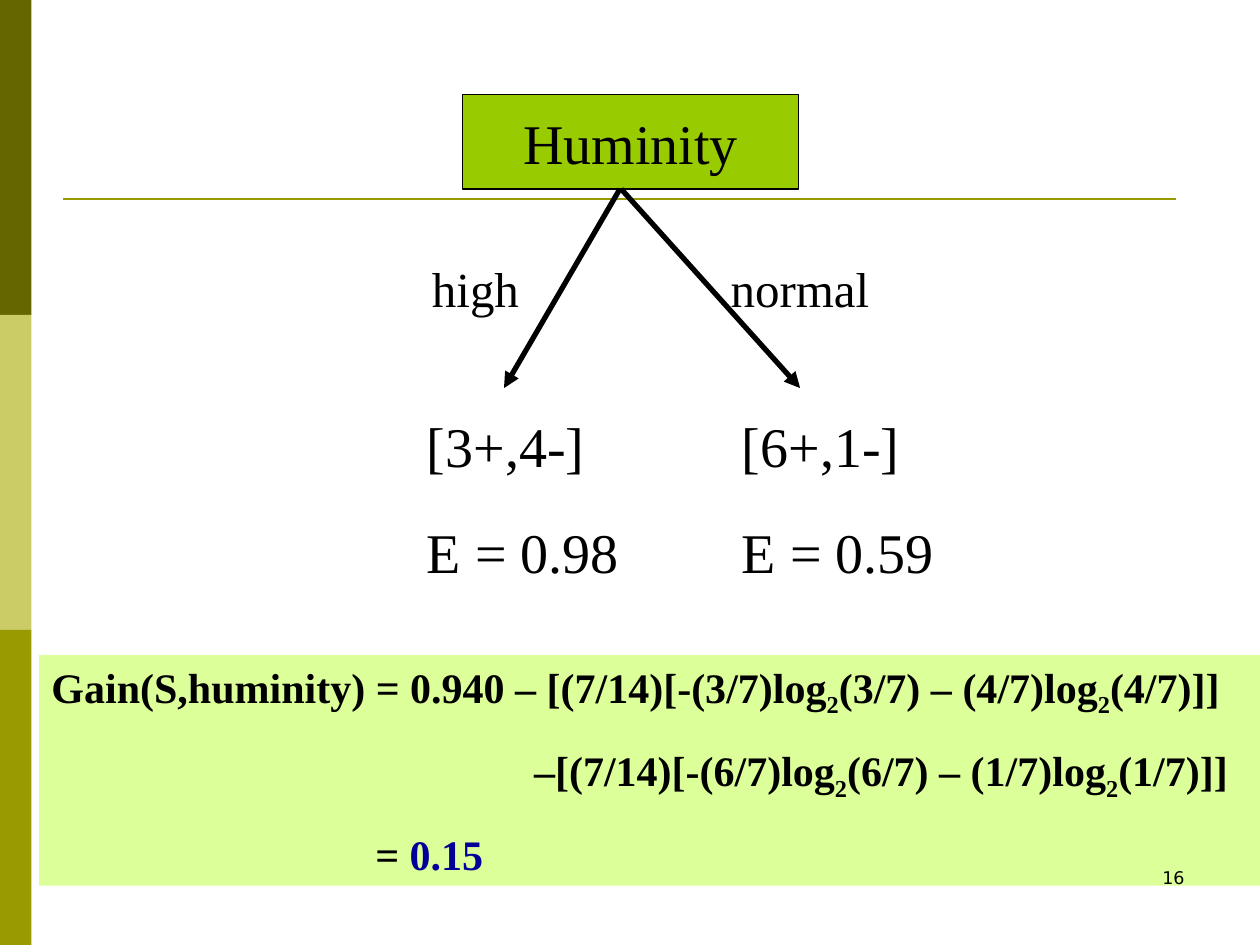
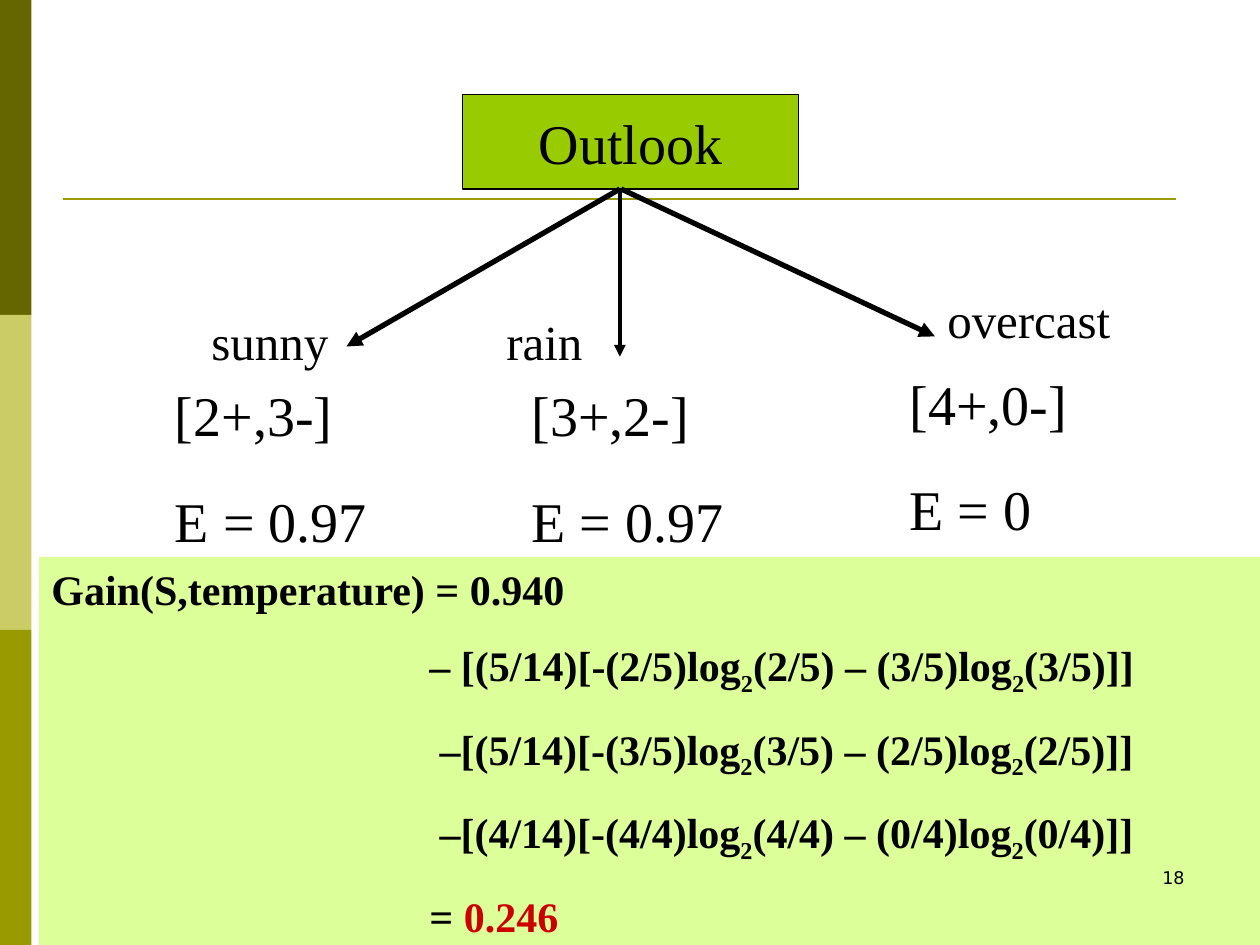
from pptx import Presentation
from pptx.dml.color import RGBColor
from pptx.enum.shapes import MSO_CONNECTOR, MSO_SHAPE
from pptx.enum.text import MSO_ANCHOR, PP_ALIGN
from pptx.oxml.ns import qn
from pptx.util import Inches, Pt
from lxml import etree

RECTANGLE = MSO_SHAPE.RECTANGLE
STRAIGHT = MSO_CONNECTOR.STRAIGHT
TOP, MIDDLE = MSO_ANCHOR.TOP, MSO_ANCHOR.MIDDLE
LEFT, CENTER, RIGHT = PP_ALIGN.LEFT, PP_ALIGN.CENTER, PP_ALIGN.RIGHT

SERIF, SANS = "Times New Roman", "DejaVu Sans"
BLACK, OLIVE, ROOT_GREEN, FORMULA_GREEN = "000000", "999900", "99CC00", "DDFF99"
BAND_COLOURS = ["666600", "CCCC66", OLIVE]
SUBSCRIPT_MARK = "log2"

SLIDES = [
    {
        "number": "16",
        "attribute": "Huminity",
        "branches": [
            {"value": "high", "label": (3.33, 2), "arrow": (4.92, 4, 3.08, 3),
             "counts": "[3+,4-]", "entropy": "E = 0.98", "outcome": (3.17, 3.17)},
            {"value": "normal", "label": (5.7, 2), "arrow": (4.93, 6.35, 3.08, 3),
             "counts": "[6+,1-]", "entropy": "E = 0.59", "outcome": (5.67, 3.17)},
        ],
        "formula_top": 5.2,
        "formula_height": 1.83,
        "formula": [
            (0, "Gain(S,huminity) = 0.940 – [(7/14)[-(3/7)log2(3/7) – (4/7)log2(4/7)]]"),
            (3.83, "–[(7/14)[-(6/7)log2(6/7) – (1/7)log2(1/7)]]"),
            (2.57, "= "),
        ],
        "gain": ("0.15", "000099"),
    },
    {
        "number": "18",
        "attribute": "Outlook",
        "branches": [
            {"value": "sunny", "label": (1.58, 2.42), "arrow": (4.92, 2.75, 2.75, 3),
             "counts": "[2+,3-]", "entropy": "E = 0.97", "outcome": (1.17, 2.92)},
            {"value": "rain", "label": (3.92, 2.42), "arrow": (4.92, 4.92, 2.83, 2.25),
             "counts": "[3+,2-]", "entropy": "E = 0.97", "outcome": (4, 2.92)},
            {"value": "overcast", "label": (7.42, 2.25), "arrow": (4.93, 7.42, 2.67, 3),
             "counts": "[4+,0-]", "entropy": "E = 0", "outcome": (7, 2.83)},
        ],
        "formula_top": 4.42,
        "formula_height": 3.1,
        "formula": [
            (0, "Gain(S,temperature) = 0.940"),
            (3, "– [(5/14)[-(2/5)log2(2/5) – (3/5)log2(3/5)]]"),
            (3.08, "–[(5/14)[-(3/5)log2(3/5) – (2/5)log2(2/5)]]"),
            (3.08, "–[(4/14)[-(4/4)log2(4/4) – (0/4)log2(0/4)]]"),
            (3, "= "),
        ],
        "gain": ("0.246", "CC0000"),
    },
]


def colour(value):
    return RGBColor.from_string(value)


def add_rectangle(slide, left, top, width, height, fill, outline=None):
    shape = slide.shapes.add_shape(
        RECTANGLE, Inches(left), Inches(top), Inches(width), Inches(height))
    shape.shadow.inherit = False
    shape.fill.solid()
    shape.fill.fore_color.rgb = colour(fill)
    if outline:
        shape.line.color.rgb = colour(outline)
        shape.line.width = Pt(0.75)
    else:
        shape.line.fill.background()
    return shape


def add_line(slide, start, end, line_colour, width, arrow=False):
    connector = slide.shapes.add_connector(
        STRAIGHT, *(Inches(value) for value in (*start, *end)))
    connector.line.color.rgb = colour(line_colour)
    connector.line.width = Pt(width)
    if arrow:
        line = connector.line._get_or_add_ln()
        etree.SubElement(line, qn("a:tailEnd"), type="triangle")
    etree.SubElement(connector._element.spPr, qn("a:effectLst"))


def write_lines(shape, lines, size, font_name=SERIF, alignment=LEFT, anchor=TOP,
                bold=False, gap=0):
    frame = shape.text_frame
    frame.word_wrap = True
    frame.vertical_anchor = anchor
    for position, (indent, text) in enumerate(lines):
        paragraph = frame.add_paragraph() if position else frame.paragraphs[0]
        paragraph.alignment = alignment
        if position:
            paragraph.space_before = Pt(gap)
        if indent:
            properties = paragraph._p.get_or_add_pPr()
            properties.set("marL", str(Inches(indent)))
            properties.set("indent", "0")
        font = paragraph.font
        font.name, font.size, font.bold = font_name, Pt(size), bold
        font.color.rgb = colour(BLACK)
        parts = text.split(SUBSCRIPT_MARK)
        for part in parts[:-1]:
            paragraph.add_run().text = part + SUBSCRIPT_MARK[:-1]
            subscript = paragraph.add_run()
            subscript.text = SUBSCRIPT_MARK[-1]
            subscript.font._element.set("baseline", "-25000")
        paragraph.add_run().text = parts[-1]


def add_text(slide, left, top, width, height, lines, size, **style):
    box = slide.shapes.add_textbox(
        Inches(left), Inches(top), Inches(width), Inches(height))
    write_lines(box, lines, size, **style)


def add_frame(slide):
    for position, band_colour in enumerate(BAND_COLOURS):
        add_rectangle(slide, 0, position * 2.5, 0.25, 2.5, band_colour)
    add_line(slide, (0.5, 1.58), (9.33, 1.58), OLIVE, 1.5)


def add_branch(slide, branch):
    start, end, bottom, width = branch["arrow"]
    add_line(slide, (start, 1.5), (end, bottom), BLACK, width, arrow=True)
    add_text(slide, *branch["label"], 1.92, 0.57, [(0, branch["value"])], 28)
    left, top = branch["outcome"]
    outcome = [(0.12, branch["counts"]), (0.12, branch["entropy"])]
    add_text(slide, left, top + 0.05, 2.58, 1.46, outcome, 32, gap=22)


def add_formula(slide, content):
    shape = add_rectangle(slide, 0.31, content["formula_top"], 9.69,
                          content["formula_height"], FORMULA_GREEN)
    write_lines(shape, content["formula"], 24, bold=True, gap=15)
    gain, gain_colour = content["gain"]
    result = shape.text_frame.paragraphs[-1].add_run()
    result.text = gain
    result.font.color.rgb = colour(gain_colour)


def add_tree_slide(presentation, content):
    slide = presentation.slides.add_slide(presentation.slide_layouts[6])
    add_frame(slide)
    root = add_rectangle(slide, 3.67, 0.75, 2.67, 0.75, ROOT_GREEN, BLACK)
    write_lines(root, [(0, content["attribute"])], 32, alignment=CENTER, anchor=MIDDLE)
    add_formula(slide, content)
    for branch in content["branches"]:
        add_branch(slide, branch)
    add_text(slide, 7.17, 6.83, 2.33, 0.5, [(0, content["number"])], 10,
             font_name=SANS, alignment=RIGHT)


def main():
    presentation = Presentation()
    presentation.slide_width, presentation.slide_height = Inches(10), Inches(7.5)
    for content in SLIDES:
        add_tree_slide(presentation, content)
    presentation.save("out.pptx")


if __name__ == "__main__":
    main()
